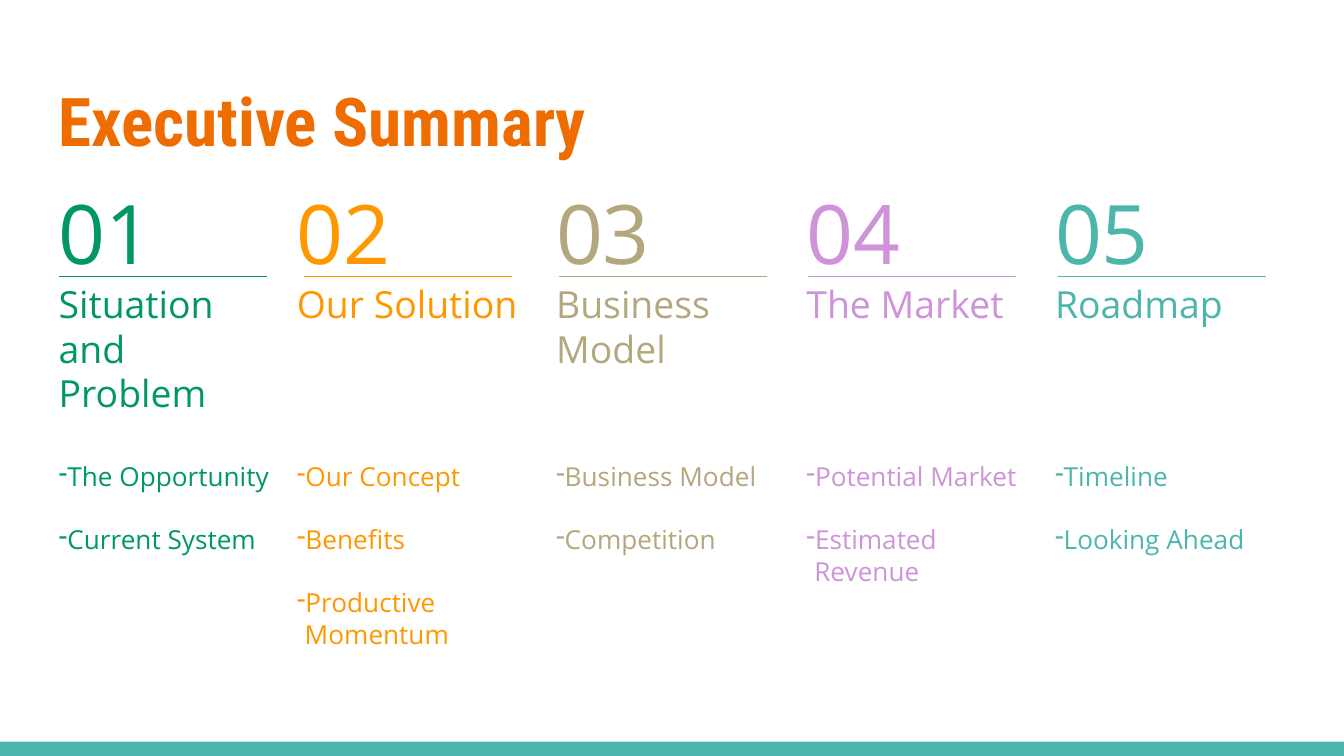
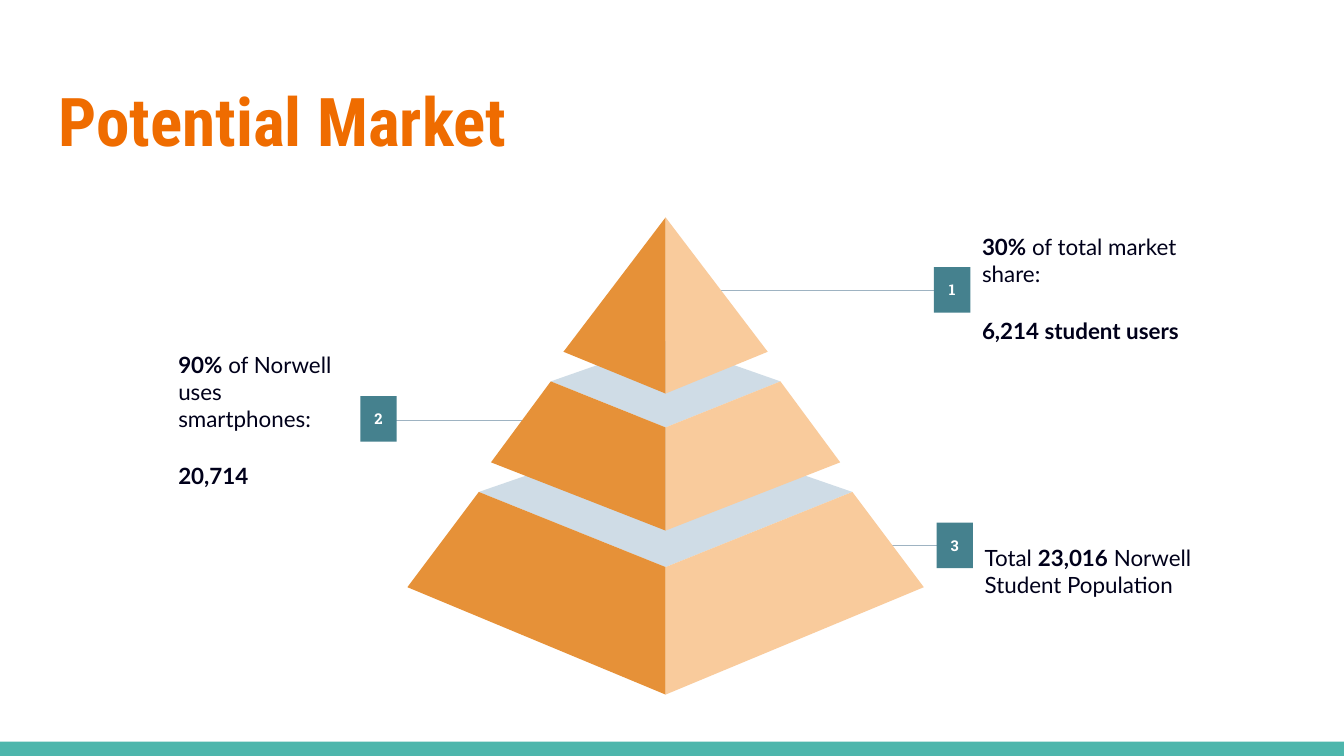
"""Builds a two-slide business summary with a numbered overview and a market pyramid."""
from lxml.etree import SubElement
from pptx import Presentation
from pptx.dml.color import RGBColor
from pptx.enum.shapes import MSO_CONNECTOR as Connector, MSO_SHAPE as Preset
from pptx.enum.text import MSO_ANCHOR as Anchor, MSO_AUTO_SIZE as AutoSize, PP_ALIGN as Align
from pptx.oxml.ns import qn
from pptx.util import Cm, Pt


def color(value):
    return RGBColor.from_string(value)


class Deck:
    WIDTH, HEIGHT = 25.4, 14.29
    TEAL, ORANGE, INK, WHITE = "4DB6AC", "EF6C00", "00001A", "FFFFFF"
    BADGE, LEADER = "45818E", "9EB3C2"
    SHADE, LIGHT, TOP = "E69138", "F9CB9C", "CFDCE6"
    TITLE_FONT, BODY_FONT = "Roboto Condensed", "Open Sans"
    NOTE_FONT, BADGE_FONT = "Lato", "Roboto Slab"

    def __init__(self):
        self.deck = Presentation()
        self.deck.slide_width, self.deck.slide_height = Cm(self.WIDTH), Cm(self.HEIGHT)
        self.page = None

    def add_page(self, title):
        self.page = self.deck.slides.add_slide(self.deck.slide_layouts[5])
        self.rectangle(0, 14.02, self.WIDTH, 0.27, self.TEAL)
        box = self.page.shapes.title
        box.left, box.top, box.width, box.height = Cm(0.86), Cm(1.24), Cm(23.67), Cm(1.96)
        box.text_frame.text = title
        self.frame(box, Anchor.TOP)
        para = box.text_frame.paragraphs[0]
        para.alignment = Align.LEFT
        self.style(para.runs[0], self.TITLE_FONT, 36, self.ORANGE, True)

    def frame(self, box, anchor, margin=0.25):
        frame = box.text_frame
        frame.word_wrap, frame.auto_size = True, AutoSize.NONE
        frame.vertical_anchor = anchor
        frame.margin_left = frame.margin_right = Cm(margin)
        frame.margin_top = frame.margin_bottom = Cm(margin)

    def style(self, span, font, size, hue, bold=False):
        span.font.name, span.font.size, span.font.bold = font, Pt(size), bold
        span.font.color.rgb = color(hue)

    def paint(self, shape, fill):
        shape.shadow.inherit = False
        shape.fill.solid()
        shape.fill.fore_color.rgb = color(fill)
        shape.line.fill.background()

    def rectangle(self, left, top, width, height, fill):
        shape = self.page.shapes.add_shape(
            Preset.RECTANGLE, Cm(left), Cm(top), Cm(width), Cm(height))
        self.paint(shape, fill)
        return shape

    def line(self, start, end, y, hue):
        line = self.page.shapes.add_connector(
            Connector.STRAIGHT, Cm(start), Cm(y), Cm(end), Cm(y))
        line.line.color.rgb = color(hue)
        line.line.width = Pt(0.75)
        SubElement(line._element.spPr, qn("a:effectLst"))

    def text_box(self, left, top, width, height, anchor=Anchor.TOP):
        box = self.page.shapes.add_textbox(Cm(left), Cm(top), Cm(width), Cm(height))
        self.frame(box, anchor)
        return box.text_frame

    def bullet(self, para, hue):
        props = para._p.get_or_add_pPr()
        props.set("marL", str(Cm(0.15)))
        props.set("indent", str(-Cm(0.41)))
        tint = SubElement(props, qn("a:buClr"))
        SubElement(tint, qn("a:srgbClr"), val=hue)
        SubElement(props, qn("a:buChar"), char="-")

    def column(self, number, left, rule, hue, heading, lines, items):
        frame = self.text_box(left, 3.2, 4.7, 10.03)
        frame.text = "\n".join([f"{number:02}", heading, *items])
        sizes = [44, 20] + [14] * len(items)
        for index, (para, size) in enumerate(zip(frame.paragraphs, sizes)):
            self.style(para.runs[0], self.BODY_FONT, size, hue)
            if index == 1:
                para.space_after = Pt(24.1 * (4 - lines))
            if index > 1:
                self.bullet(para, hue)
            if index > 2:
                para.space_before = Pt(16.9)
        self.line(rule, rule + 3.93, 5.23, hue)

    def badge(self, number, left, top):
        box = self.rectangle(left, top, 0.69, 0.86, self.BADGE)
        box.text_frame.text = str(number)
        self.frame(box, Anchor.MIDDLE, 0)
        para = box.text_frame.paragraphs[0]
        para.alignment = Align.CENTER
        self.style(para.runs[0], self.BADGE_FONT, 8, self.WHITE, True)

    def note(self, left, top, width, paragraphs):
        frame = self.text_box(left, top, width, 3.84, Anchor.MIDDLE)
        for index, spans in enumerate(paragraphs):
            para = frame.add_paragraph() if index else frame.paragraphs[0]
            if index:
                para.space_before = Pt(16)
            for text, bold in spans:
                span = para.add_run()
                span.text = text
                self.style(span, self.NOTE_FONT, 12, self.INK, bold)

    def polygon(self, points, fill):
        first, *rest = [(Cm(x), Cm(y)) for x, y in points]
        builder = self.page.shapes.build_freeform(*first)
        builder.add_line_segments(rest)
        self.paint(builder.convert_to_shape(), fill)

    def tier(self, axis, back, shoulder, shoulder_y, front, base, base_y, bottom):
        if shoulder:
            self.polygon([(axis - shoulder, shoulder_y), (axis, front),
                          (axis + shoulder, shoulder_y), (axis, back)], self.TOP)
        for side, fill in ((-1, self.SHADE), (1, self.LIGHT)):
            outline = [(axis, front), (axis + side * base, base_y), (axis, bottom)]
            if shoulder:
                outline.insert(1, (axis + side * shoulder, shoulder_y))
            self.polygon(outline, fill)

    def save(self):
        self.deck.save("out.pptx")


COLUMNS = [
    (0.86, 1.12, "009668", "Situation and Problem", 3, ["The Opportunity", "Current System"]),
    (5.36, 5.74, "FF9800", "Our Solution", 1,
     ["Our Concept", "Benefits", "Productive Momentum"]),
    (10.26, 10.57, "B3A77D", "Business Model", 2, ["Business Model", "Competition"]),
    (14.99, 15.27, "CE93D8", "The Market", 1, ["Potential Market", "Estimated Revenue"]),
    (19.69, 19.99, Deck.TEAL, "Roadmap", 1, ["Timeline", "Looking Ahead"]),
]
CALLOUTS = [
    (3, (16.69, 18.31, 10.31), (17.7, 9.88), (18.36, 8.87, 5.18),
     [[("Total ", False), ("23,016", True), (" Norwell Student Population", False)]]),
    (2, (7.06, 9.96, 7.95), (6.81, 7.49), (3.12, 6.02, 3.91),
     [[("90%", True), (" of Norwell uses smartphones:", False)], [("20,714", True)]]),
    (1, (13.51, 18.26, 5.49), (17.65, 5.05), (18.31, 3.53, 5.18),
     [[("30%", True), (" of total market share:", False)], [("6,214 student users", True)]]),
]
TIERS = [
    (8.08, 3.53, 9.3, 10.72, 4.88, 11.1, 13.13),
    (6.45, 2.17, 7.21, 8.08, 3.3, 8.74, 10.03),
    (4.11, 0, 4.11, 4.11, 1.93, 6.65, 7.44),
]

deck = Deck()
deck.add_page("Executive Summary")
for number, column in enumerate(COLUMNS, 1):
    deck.column(number, *column)

deck.add_page("Potential Market")
for number, leader, badge, place, paragraphs in CALLOUTS:
    deck.line(*leader, Deck.LEADER)
    deck.note(*place, paragraphs)
    deck.badge(number, *badge)
for tier in TIERS:
    deck.tier(12.58, *tier)
deck.save()
